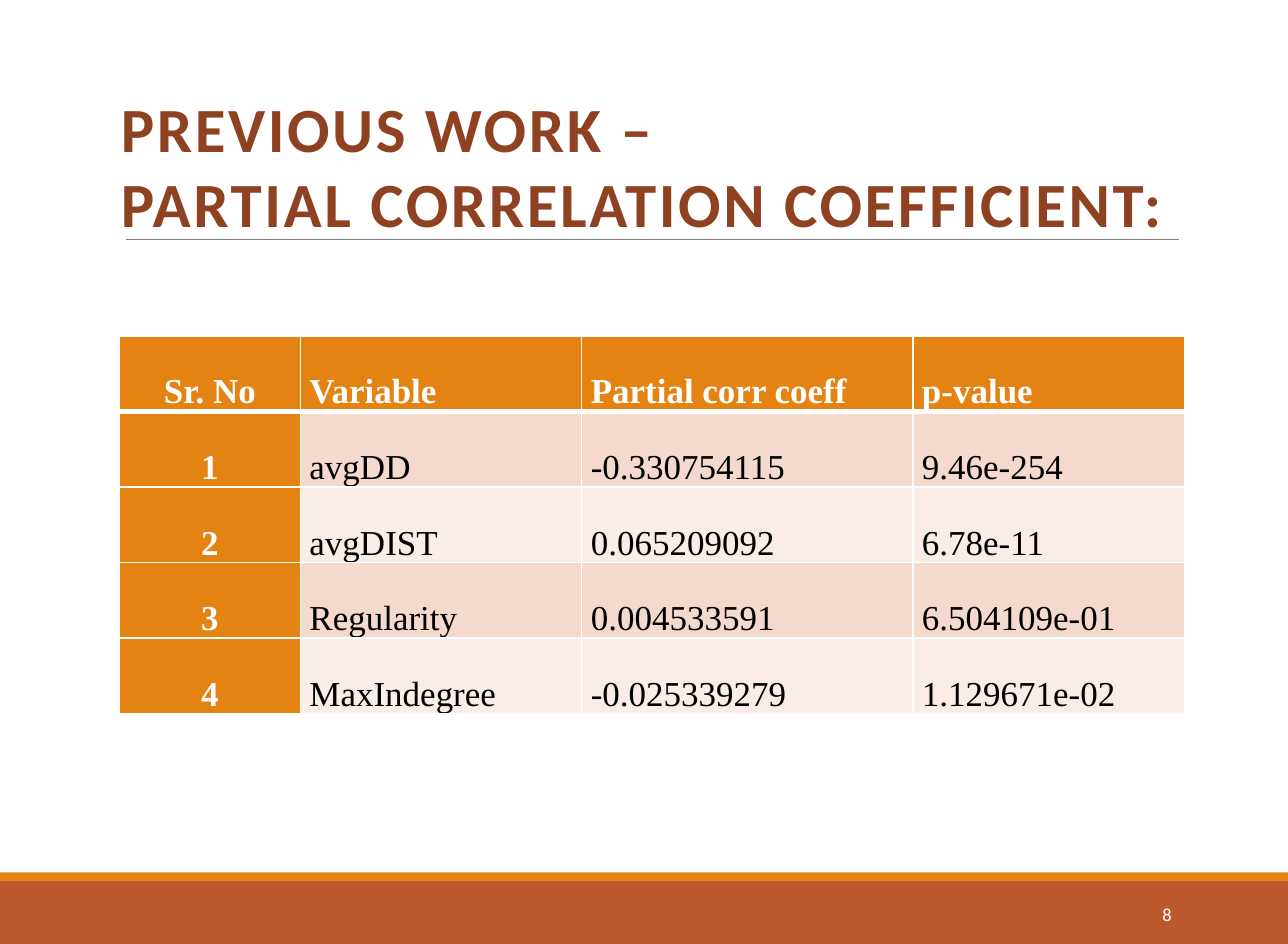
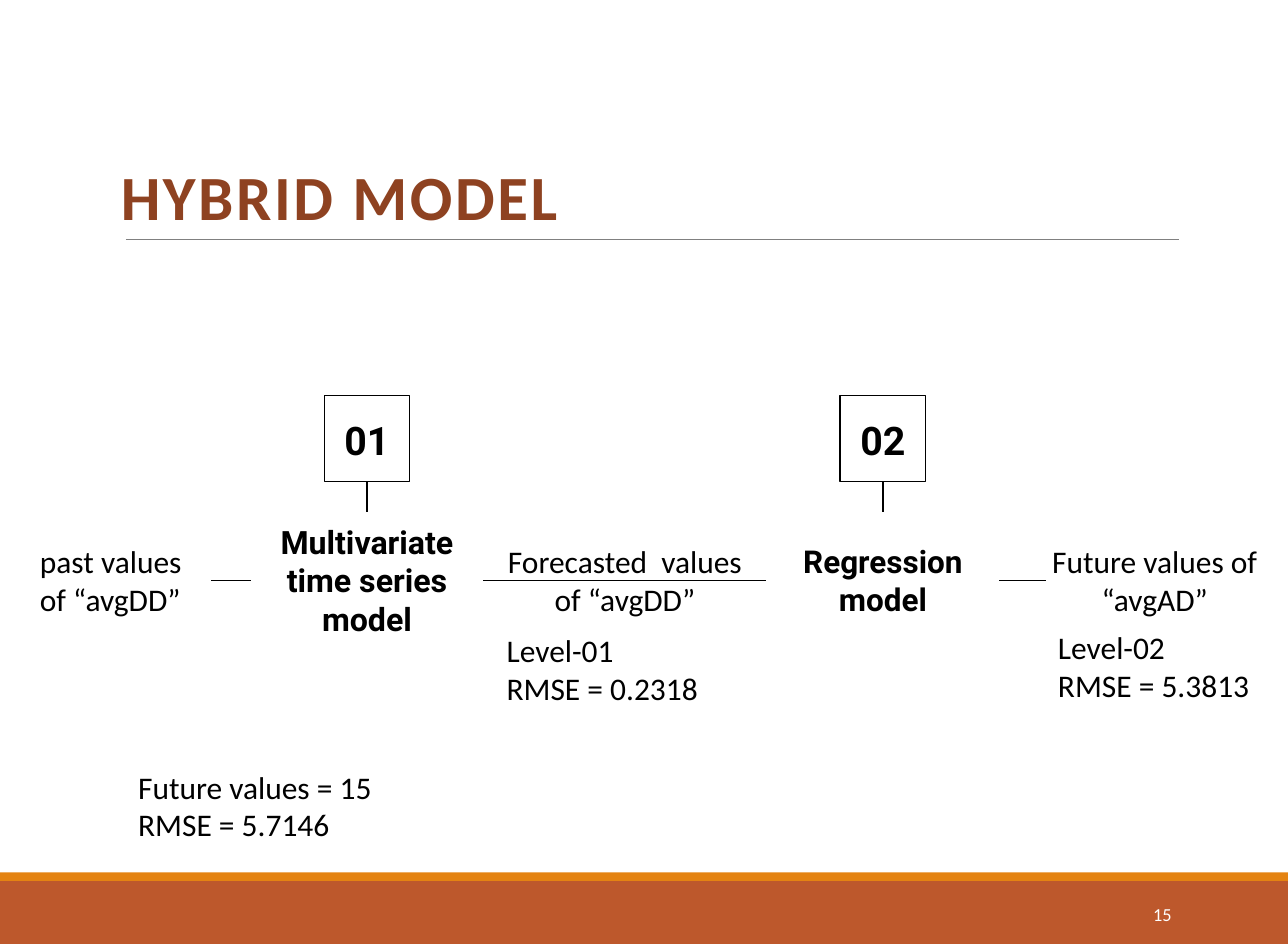
from pptx import Presentation
from pptx.dml.color import RGBColor
from pptx.enum.shapes import MSO_CONNECTOR as Link, MSO_SHAPE as Shape
from pptx.enum.text import MSO_ANCHOR as Anchor, PP_ALIGN as Align
from pptx.oxml.ns import qn
from pptx.util import Pt
from lxml.etree import SubElement as Sub

WIDE, HIGH = 737, 540
RUST, AMBER, BROWN, GREY = "BD582C", "E48312", "8E4221", "808080"
WHITE, BLACK = "FFFFFF", "000000"
TINTS = "F5D9CC", "FAEDE7"
SANS, SERIF, HEAVY = "Calibri", "Times New Roman", "Roboto"

COLS = 103.5, 161, 189.5, 155.5
ROW = 43.2
ROWS = [
    ("Sr. No", "Variable", "Partial corr coeff", "p-value"),
    ("1", "avgDD", "-0.330754115", "9.46e-254"),
    ("2", "avgDIST", "0.065209092", "6.78e-11"),
    ("3", "Regularity", "0.004533591", "6.504109e-01"),
    ("4", "MaxIndegree", "-0.025339279", "1.129671e-02"),
]

STEPS = [
    ("01", "Multivariate time series model", 18.4, 210),
    ("02", "Regression model", 18, 505.2),
]
BOX, STEM, NAME = 49, 17.5, (133.2, 77)
TOP, MID = 226.3, 332
FLOWS = [(121, 143.4), (276.6, 438.6), (571.8, 598.3)]
NOTES = [
    (["past values of “avgDD”"], 15.8, 306.7, 105.1, Align.LEFT),
    (["Forecasted  values of “avgDD”"], 276.6, 306.7, 162, Align.CENTER),
    (["Future values of “avgAD”"], 584.6, 306.7, 152.4, Align.CENTER),
    (["Future values = 15", "RMSE = 5.7146"], 72, 435.6, 175.7, Align.LEFT),
    (["Level-01", "RMSE = 0.2318"], 282.8, 357.4, 133.2, Align.LEFT),
    (["Level-02", "RMSE = 5.3813"], 598.3, 355.7, 133.2, Align.LEFT),
]


def rgb(code):
    """Turn a hex string into a colour."""
    return RGBColor.from_string(code)


def pts(*nums):
    """Turn numbers into point lengths."""
    return [Pt(num) for num in nums]


def write(frame, lines, size, font=SANS, color=BLACK, bold=False, align=Align.LEFT):
    """Write each line as a paragraph and return the last one."""
    for num, line in enumerate(lines):
        para = frame.add_paragraph() if num else frame.paragraphs[0]
        para.alignment = align
        for part, words in enumerate(line.split("\n")):
            if part:
                para.add_line_break()
            run = para.add_run()
            run.text = words
            run.font.size, run.font.name, run.font.bold = Pt(size), font, bold
            run.font.color.rgb = rgb(color)
    return para


def label(slide, area, lines, size, anchor=Anchor.TOP, pad=(7.2, 3.6, 7.2, 3.6), **look):
    """Add a wrapped text box and return its last paragraph."""
    frame = slide.shapes.add_textbox(*pts(*area)).text_frame
    frame.word_wrap, frame.vertical_anchor = True, anchor
    (frame.margin_left, frame.margin_top,
     frame.margin_right, frame.margin_bottom) = pts(*pad)
    return write(frame, lines, size, **look)


def rect(slide, area, fill=None, line=None):
    """Add a plain rectangle."""
    shape = slide.shapes.add_shape(Shape.RECTANGLE, *pts(*area))
    shape.shadow.inherit = False
    if fill:
        shape.fill.solid()
        shape.fill.fore_color.rgb = rgb(fill)
    else:
        shape.fill.background()
    if line:
        shape.line.color.rgb, shape.line.width = rgb(line), Pt(0.75)
    else:
        shape.line.fill.background()
    return shape


def rule(slide, ends, color=BLACK, width=1):
    """Add a straight line without a shadow."""
    line = slide.shapes.add_connector(Link.STRAIGHT, *pts(*ends))
    line.line.color.rgb, line.line.width = rgb(color), Pt(width)
    Sub(line._element.spPr, qn("a:effectLst"))


def frame(deck, title, page, base):
    """Start a slide with its bands, title, rule and page number."""
    slide = deck.slides.add_slide(deck.slide_layouts[6])
    rect(slide, (0, 504, WIDE, 36), RUST)
    rect(slide, (0, 499, WIDE, 5), AMBER)
    rule(slide, (72, 136.8, 674.6, 136.8), GREY, 0.5)
    para = label(slide, (68.4, base - 89, 650, 89), [title], 36, Anchor.BOTTOM,
                 (0.7, 0.7, 0, 0), color=BROWN, bold=True)
    for run in para.runs:
        run.font._element.set("spc", "150")
    para = label(slide, (598.3, 508.8, 79.2, 28.8), [page], 10.5, Anchor.MIDDLE,
                 color=WHITE, align=Align.RIGHT)
    para.line_spacing = Pt(12.4)
    return slide


def edge(cell, side, width):
    """Draw one white cell border."""
    line = Sub(cell._tc.get_or_add_tcPr(), qn("a:ln" + side), w=str(Pt(width)))
    Sub(Sub(line, qn("a:solidFill")), qn("a:srgbClr"), val=WHITE)


def grid(slide):
    """Add the table of coefficients."""
    area = pts(68.4, 192.2, sum(COLS), ROW * len(ROWS))
    table = slide.shapes.add_table(len(ROWS), len(COLS), *area).table
    for col, wide in zip(table.columns, COLS):
        col.width = Pt(wide)
    for r, row in enumerate(ROWS):
        table.rows[r].height = Pt(ROW)
        for c, words in enumerate(row):
            cell = table.cell(r, c)
            head = r == 0 or c == 0
            for side in "LRTB":
                edge(cell, side, 3 if (r, side) in [(0, "B"), (1, "T")] else 1)
            cell.fill.solid()
            cell.fill.fore_color.rgb = rgb(AMBER if head else TINTS[(r - 1) % 2])
            cell.vertical_anchor = Anchor.BOTTOM
            (cell.margin_left, cell.margin_top,
             cell.margin_right, cell.margin_bottom) = pts(5.2, 0, 5.2, 0)
            write(cell.text_frame, [words], 20, SERIF, WHITE if head else BLACK,
                  head, Align.LEFT if c else Align.CENTER)


def model(slide):
    """Add the two-step flow and its notes."""
    stem = TOP + BOX
    wide, high = NAME
    look = dict(font=HEAVY, bold=True, align=Align.CENTER)
    for num, name, size, mid in STEPS:
        rect(slide, (mid - BOX / 2, TOP, BOX, BOX), line=BLACK)
        label(slide, (mid - 38.2, TOP + 12, 76.4, 26.6), [num], 22.5,
              Anchor.MIDDLE, (7.2,) * 4, **look)
        rule(slide, (mid, stem, mid, stem + STEM), width=0.75)
        label(slide, (mid - wide / 2, stem + STEM + 0.4, wide, high), [name], size,
              Anchor.MIDDLE, (7.2,) * 4, **look)
    for left, right in FLOWS:
        rule(slide, (left, MID, right, MID))
    for lines, left, top, wide, align in NOTES:
        label(slide, (left, top, wide, 51), lines, 18, align=align)


def main():
    """Build and save the deck."""
    deck = Presentation()
    deck.slide_width, deck.slide_height = pts(WIDE, HIGH)
    grid(frame(deck, "PREVIOUS WORK – \nPARTIAL CORRELATION COEFFICIENT:", "8", 137.5))
    model(frame(deck, "HYBRID MODEL", "15", 133.2))
    deck.save("out.pptx")


if __name__ == "__main__":
    main()
